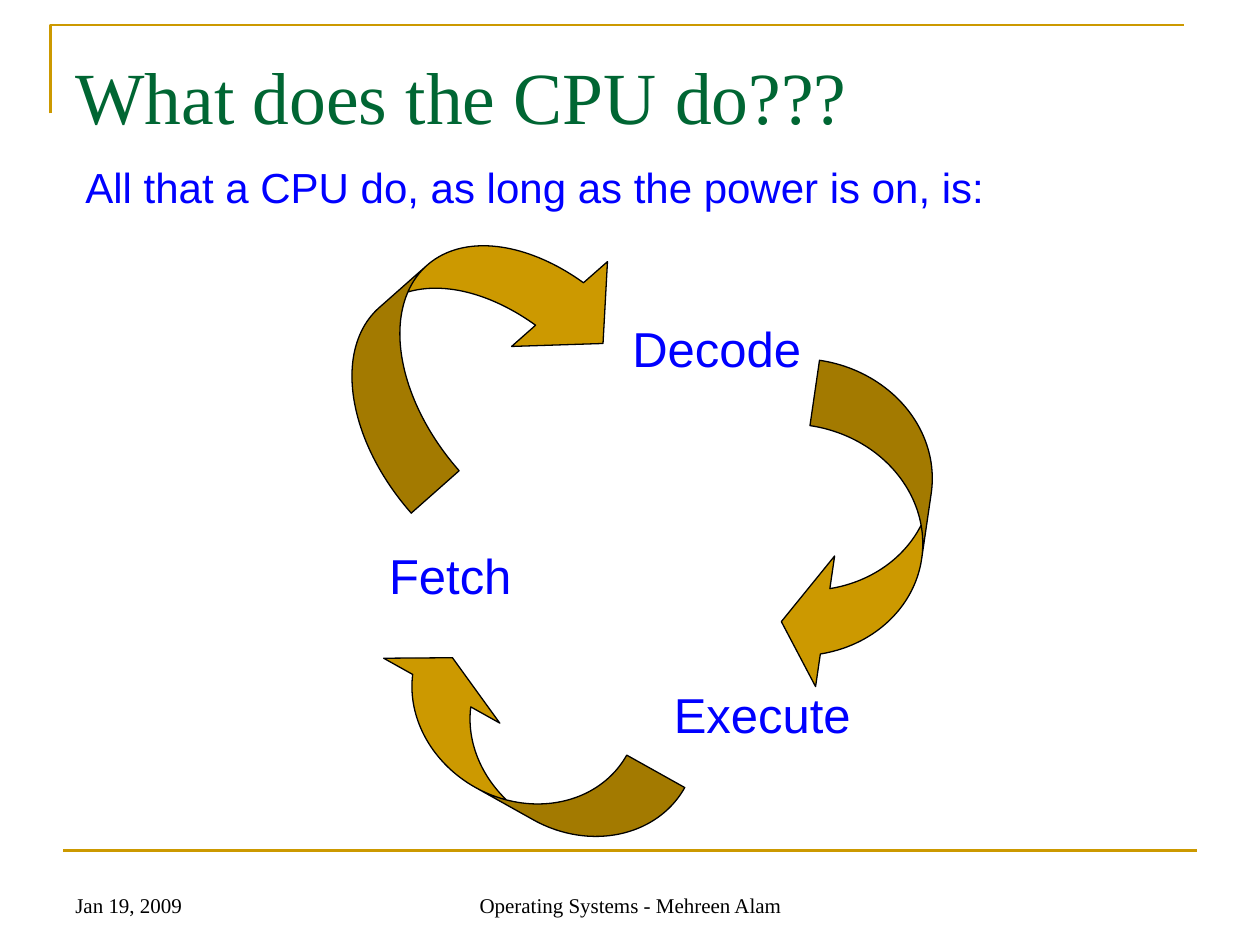
"""Build the CPU cycle slide on a grid of 100 columns by 75 square rows."""
from lxml.etree import SubElement
from pptx import Presentation
from pptx.dml.color import RGBColor as RGB
from pptx.enum.shapes import MSO_CONNECTOR as CONN, MSO_SHAPE as SHAPE
from pptx.enum.text import MSO_ANCHOR as ANCHOR, PP_ALIGN as ALIGN
from pptx.oxml.ns import qn
from pptx.util import Inches, Pt

COLORS = {"gold": "CC9900", "green": "006633", "blue": "0000FF", "black": "000000"}
SERIF, SANS = "Times New Roman", "Arial"

prs = Presentation()
prs.slide_width, prs.slide_height = Inches(10), Inches(7.5)
s = prs.slides.add_slide(prs.slide_layouts[6])
CELL = prs.slide_width / 100


def grid(*cells):
    return [round(c * CELL) for c in cells]


def add_text(text, box, size, font, color, anchor=ANCHOR.TOP, align=ALIGN.LEFT, wrap=True):
    tf = s.shapes.add_textbox(*grid(*box)).text_frame
    tf.word_wrap = wrap
    tf.vertical_anchor = anchor
    p = tf.paragraphs[0]
    p.text = text
    p.alignment = align
    r = p.runs[0]
    r.font.size, r.font.name = Pt(size), font
    r.font.color.rgb = RGB.from_string(COLORS[color])
    return p


fb = s.shapes.build_freeform(4.2, 9.2, scale=CELL)
fb.add_line_segments([(4.2, 2.5), (94.2, 2.5)], close=False)
corner = fb.convert_to_shape()
corner.fill.background()
corner.shadow.inherit = False
rule = s.shapes.add_connector(CONN.STRAIGHT, *grid(5, 67.5, 95, 67.5))
SubElement(rule._element.spPr, qn("a:effectLst"))
for sp in (corner, rule):
    sp.line.color.rgb = RGB.from_string(COLORS["gold"])
    sp.line.width = Pt(1.5)

add_text("What does the CPU do???", (5, 1.3, 90, 12.5), 42, SERIF, "green", ANCHOR.MIDDLE)

arrows = [
    ((30.6, 14.4, 13.9, 25.4), 228.5),
    ((63.1, 29.2, 10.3, 26.2), 8.3),
    ((36.8, 46.4, 8.1, 26.4), 119.2),
]
for box, angle in arrows:
    sp = s.shapes.add_shape(SHAPE.CURVED_LEFT_ARROW, *grid(*box))
    ratio = box[3] / box[2]
    for i, value in enumerate((0.2 * ratio, 0.4 * ratio, 1 / 3)):
        sp.adjustments[i] = value
    sp.rotation = angle
    sp.shadow.inherit = False
    sp.fill.solid()
    sp.fill.fore_color.rgb = RGB.from_string(COLORS["gold"])
    sp.line.color.rgb = RGB.from_string(COLORS["black"])
    sp.line.width = Pt(0.75)

steps = [
    ("Fetch", (29.9, 42.8, 11.7, 5.7)),
    ("Execute", (52.5, 53.8, 16, 5.7)),
    ("Decode", (49.2, 24.8, 15.4, 5.7)),
]
for name, box in steps:
    add_text(name, box, 28, SANS, "blue", wrap=False)

p = add_text("All that a CPU do, as long as the power is on, is:",
             (5.8, 12.8, 80.4, 9), 24, SANS, "blue")
p.line_spacing, p.space_before = 0.9, Pt(15)
pPr = p._p.get_or_add_pPr()
pPr.set("marL", str(Inches(0.38)))
pPr.set("indent", str(-Inches(0.38)))

add_text("Operating Systems - Mehreen Alam", (34.2, 68.3, 31.7, 5), 12, SERIF, "black",
         ANCHOR.BOTTOM, ALIGN.CENTER)
add_text("Jan 19, 2009", (5, 68.3, 23.3, 5), 12, SERIF, "black", ANCHOR.BOTTOM)

prs.save("out.pptx")
